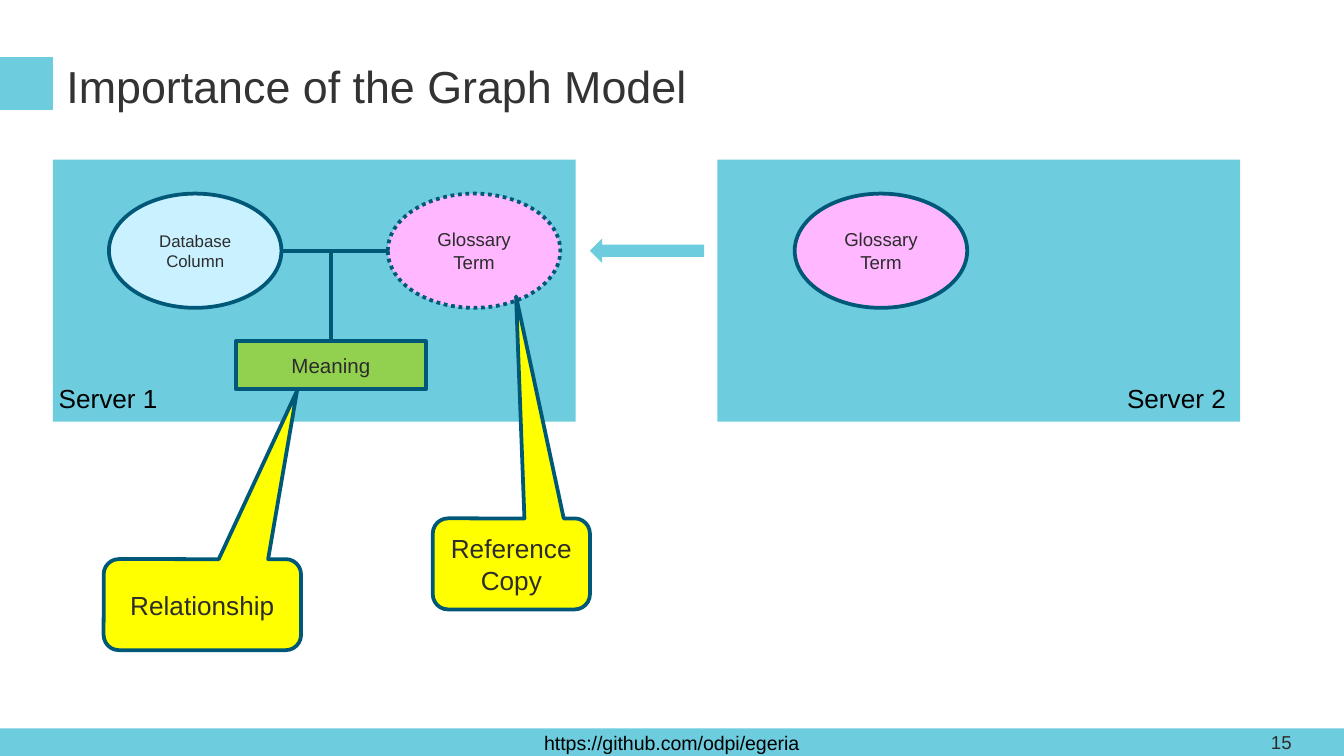
from lxml import etree
from pptx import Presentation
from pptx.dml.color import RGBColor
from pptx.enum.dml import MSO_LINE
from pptx.enum.shapes import MSO_CONNECTOR, MSO_SHAPE
from pptx.enum.text import MSO_ANCHOR, PP_ALIGN
from pptx.oxml.ns import qn
from pptx.util import Cm, Pt

RECT = MSO_SHAPE.RECTANGLE
OVAL = MSO_SHAPE.OVAL
ARROW = MSO_SHAPE.LEFT_ARROW
CALLOUT = MSO_SHAPE.ROUNDED_RECTANGULAR_CALLOUT
STRAIGHT = MSO_CONNECTOR.STRAIGHT
DOTS = MSO_LINE.ROUND_DOT
MIDDLE, TOP, BOTTOM = MSO_ANCHOR.MIDDLE, MSO_ANCHOR.TOP, MSO_ANCHOR.BOTTOM
LEFT, CENTER = PP_ALIGN.LEFT, PP_ALIGN.CENTER

COLORS = {
    "teal": "6DCCDE", "navy": "005878", "sky": "C9F1FF", "pink": "FFB7FF",
    "green": "92D050", "yellow": "FFFF00", "ink": "2C2C2C",
    "title": "333333", "black": "000000",
}


def color(name):
    return RGBColor.from_string(COLORS[name])


class Board:
    """Style and current slide; all lengths are in centimetres."""

    font = "Arial"

    def __init__(self, slide):
        self.slide = slide
        self.shapes = slide.shapes

    def set_text(self, shape, lines, size, ink="ink", align=CENTER, anchor=MIDDLE):
        frame = shape.text_frame
        frame.text = lines
        frame.vertical_anchor = anchor
        for para in frame.paragraphs:
            para.alignment = align
            para.font.name = self.font
            para.font.size = Pt(size)
            para.font.color.rgb = color(ink)

    def title(self, lines, x, y, w, h):
        shape = self.shapes.title
        shape.left, shape.top, shape.width, shape.height = map(Cm, (x, y, w, h))
        self.set_text(shape, lines, 24, "title", LEFT, BOTTOM)
        frame = shape.text_frame
        frame.margin_top = frame.margin_bottom = Cm(0.25)

    def block(self, kind, x, y, w, h, fill):
        shape = self.shapes.add_shape(kind, *map(Cm, (x, y, w, h)))
        shape.shadow.inherit = False
        shape.fill.solid()
        shape.fill.fore_color.rgb = color(fill)
        shape.line.fill.background()
        return shape

    def node(self, kind, x, y, w, h, fill, lines, size):
        shape = self.block(kind, x, y, w, h, fill)
        shape.line.color.rgb = color("navy")
        shape.line.width = Pt(2)
        self.set_text(shape, lines, size)
        return shape

    def callout(self, x, y, w, h, tip, lines):
        """Callout whose tip is given as shares of its size from its centre."""
        shape = self.node(CALLOUT, x, y, w, h, "yellow", lines, 14)
        shape.adjustments[0], shape.adjustments[1] = tip

    def label(self, x, y, w, h, lines, size, ink, anchor=TOP):
        box = self.shapes.add_textbox(*map(Cm, (x, y, w, h)))
        box.text_frame.word_wrap = False
        self.set_text(box, lines, size, ink, LEFT, anchor)

    def link(self, x1, y1, x2, y2):
        line = self.shapes.add_connector(STRAIGHT, *map(Cm, (x1, y1, x2, y2)))
        line.line.color.rgb = color("navy")
        line.line.width = Pt(2.25)
        etree.SubElement(line._element.spPr, qn("a:effectLst"))
        return line


def main():
    deck = Presentation()
    deck.slide_width, deck.slide_height = Cm(25.4), Cm(14.29)
    board = Board(deck.slides.add_slide(deck.slide_layouts[5]))

    # Page frame
    foot = 13.77
    footer = board.block(RECT, 0, foot, 25.4, 0.52, "teal")
    board.set_text(footer, "https://github.com/odpi/egeria", 10.5, "black")
    board.block(RECT, 0, 1.08, 1, 1, "teal")
    board.title("Importance of the Graph Model", 1, 0.81, 23.55, 1.57)
    board.label(23.77, foot, 1.52, 0.52, "15", 10, "ink", MIDDLE)

    # Servers
    for left, name, text_x in ((1, "Server 1", 0.86), (13.56, "Server 2", 21.05)):
        board.block(RECT, left, 3.02, 9.88, 4.95, "teal")
        board.label(text_x, 7.11, 2.4, 0.86, name, 14, "black")

    # Graph nodes
    top, wide, high = 3.66, 3.26, 2.16
    col_x, copy_x, term_x = 2.06, 7.33, 15.02
    mid = top + high / 2
    board.node(OVAL, col_x, top, wide, high, "sky", "Database\nColumn", 9)
    board.node(OVAL, term_x, top, wide, high, "pink", "Glossary\nTerm", 10)
    twin = board.node(OVAL, copy_x, top, wide, high, "pink", "Glossary Term", 10)
    twin.line.dash_style = DOTS
    meaning = board.node(RECT, 4.46, 6.45, 3.59, 0.91, "green", "Meaning", 11)
    board.block(ARROW, 11.15, mid - 0.23, 2.16, 0.46, "teal")

    # Graph links
    stem = 4.46 + 3.59 / 2
    board.link(col_x + wide, mid, copy_x, mid)
    board.link(stem, mid, stem, 6.45).end_connect(meaning, 0)

    # Remarks
    board.callout(8.18, 9.8, 2.97, 1.72, (0.03, -2.94), "Reference\nCopy")
    board.callout(1.96, 10.57, 3.73, 1.72, (0.48, -2.35), "Relationship")

    deck.save("out.pptx")


if __name__ == "__main__":
    main()
